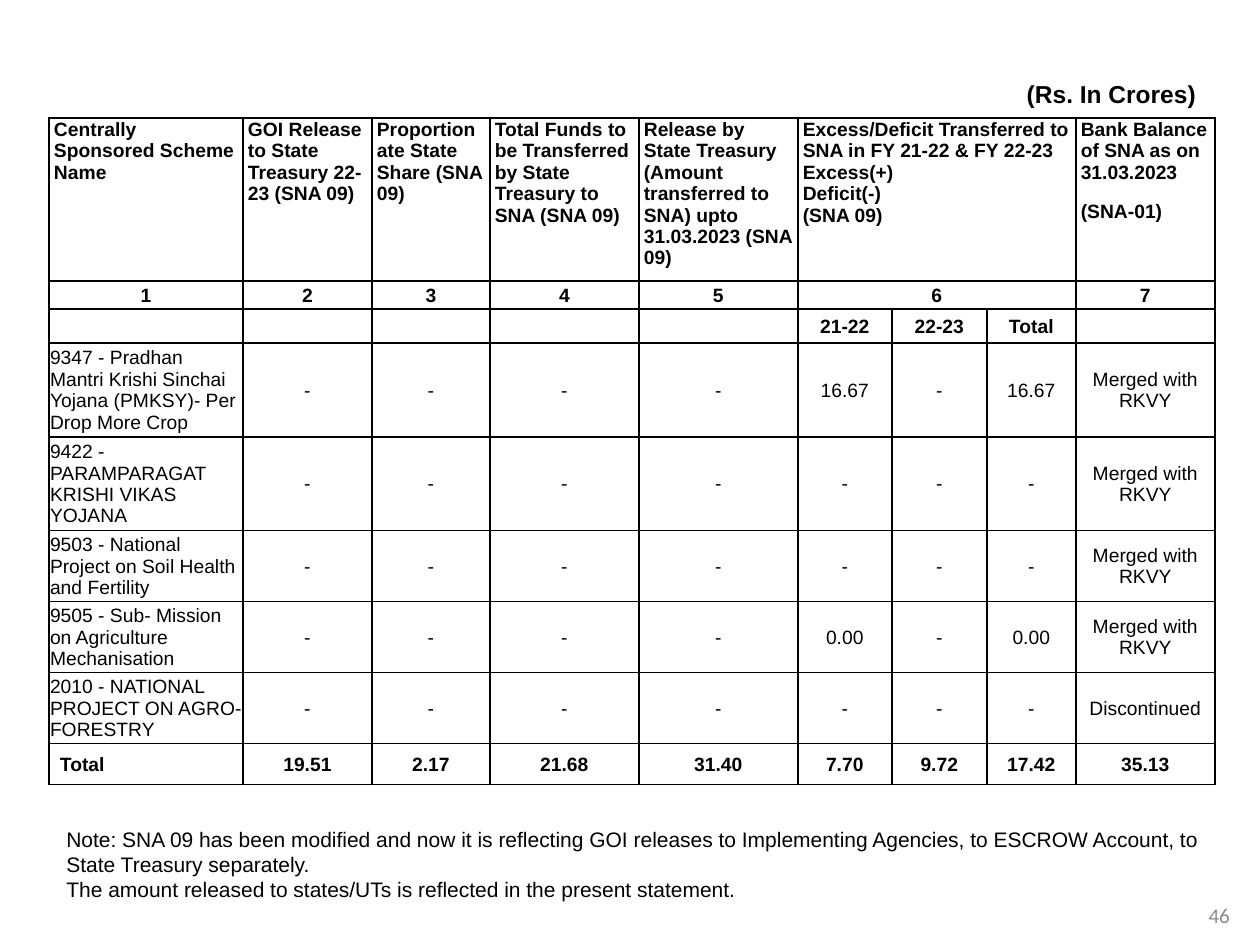
from lxml.etree import SubElement
from pptx import Presentation
from pptx.dml.color import RGBColor
from pptx.enum.text import MSO_ANCHOR, PP_ALIGN
from pptx.oxml.ns import qn
from pptx.util import Pt

PX = 914400 // 126
COLORS = {"ink": "000000", "page_number": "8C8C8C"}

COLUMN_WIDTHS = [194, 129, 118, 149, 159, 94, 95, 89, 139]
ROW_HEIGHTS = [163, 28, 34, 94, 93, 71, 71, 71, 41]
EXCESS_COLUMN, BALANCE_COLUMN = 5, 8

HEADINGS = {
    0: ["Centrally Sponsored Scheme Name"],
    1: ["GOI Release to State Treasury 22-23 (SNA 09)"],
    2: ["Proportionate State Share (SNA 09)"],
    3: ["Total Funds to be Transferred by State Treasury to SNA (SNA 09)"],
    4: ["Release by State Treasury (Amount transferred to SNA) upto "
        "31.03.2023 (SNA 09)"],
    EXCESS_COLUMN: ["Excess/Deficit Transferred to SNA in FY 21-22 & FY 22-23",
                    "Excess(+)", "Deficit(-)", "(SNA 09)"],
    BALANCE_COLUMN: ["Bank Balance of SNA as on 31.03.2023", "(SNA-01)"],
}
YEARS = [""] * 5 + ["21-22", "22-23", "Total", ""]
MERGED = "Merged with RKVY"
# Scheme, excess in 21-22 (also its total), bank balance
SCHEMES = [
    ("9347 - Pradhan Mantri Krishi Sinchai Yojana (PMKSY)- Per Drop More Crop",
     "16.67", MERGED),
    ("9422 - PARAMPARAGAT KRISHI VIKAS YOJANA", "-", MERGED),
    ("9503 - National Project on Soil Health and Fertility", "-", MERGED),
    ("9505 - Sub- Mission on Agriculture Mechanisation", "0.00", MERGED),
    ("2010 - NATIONAL PROJECT ON AGRO- FORESTRY", "-", "Discontinued"),
]
TOTALS = ["Total", "19.51", "2.17", "21.68", "31.40",
          "7.70", "9.72", "17.42", "35.13"]


def write(frame, lines, size, bold=False, align=PP_ALIGN.LEFT, font="Arial",
          color="ink", space_after=0, line_spacing=None):
    for index, line in enumerate(lines):
        paragraph = frame.paragraphs[0] if index == 0 else frame.add_paragraph()
        paragraph.alignment = align
        paragraph.space_after = Pt(space_after)
        if line_spacing:
            paragraph.line_spacing = line_spacing
        run = paragraph.add_run()
        run.text = line
        run.font.name = font
        run.font.size = Pt(size)
        run.font.bold = bold
        run.font.color.rgb = RGBColor.from_string(COLORS[color])


def add_text(slide, box, lines, size, anchor=MSO_ANCHOR.TOP, right_inset=12,
             **style):
    frame = slide.shapes.add_textbox(*(value * PX for value in box)).text_frame
    frame.word_wrap = True
    frame.vertical_anchor = anchor
    frame.margin_right = right_inset * PX
    write(frame, lines, size, **style)


def format_cell(cell, inset, left_inset=None, anchor=MSO_ANCHOR.MIDDLE):
    cell.margin_left = (inset if left_inset is None else left_inset) * PX
    cell.margin_right = inset * PX
    cell.margin_top, cell.margin_bottom = PX, 0
    cell.vertical_anchor = anchor
    # Borders come before the fill in the cell properties
    properties = cell._tc.get_or_add_tcPr()
    for side in ("lnL", "lnR", "lnT", "lnB"):
        line = SubElement(properties, qn(f"a:{side}"), w=str(Pt(1)))
        fill = SubElement(line, qn("a:solidFill"))
        SubElement(fill, qn("a:srgbClr"), val=COLORS["ink"])
    cell.fill.background()


def fill_headings(table):
    for number, (column, lines) in enumerate(HEADINGS.items(), start=1):
        write(table.cell(0, column).text_frame, lines, 11, bold=True,
              space_after=0 if column == EXCESS_COLUMN else 10)
        write(table.cell(1, column).text_frame, [str(number)], 11, bold=True,
              align=PP_ALIGN.CENTER, space_after=10, line_spacing=1.15)


def fill_row(table, row, values, bold):
    for column, value in enumerate(values):
        frame = table.cell(row, column).text_frame
        if value:
            write(frame, [value], 11, bold=bold,
                  align=PP_ALIGN.CENTER if column else PP_ALIGN.LEFT)
        else:
            # Keep an empty cell from stretching its row
            SubElement(frame.paragraphs[0]._p, qn("a:endParaRPr"), sz="1100")


def add_funds_table(slide, left, top):
    box = (left, top, sum(COLUMN_WIDTHS), sum(ROW_HEIGHTS))
    table = slide.shapes.add_table(len(ROW_HEIGHTS), len(COLUMN_WIDTHS),
                                   *(value * PX for value in box)).table
    table.first_row = table.horz_banding = False
    for column, width in zip(table.columns, COLUMN_WIDTHS):
        column.width = width * PX
    last_row = len(ROW_HEIGHTS) - 1
    for index, (row, height) in enumerate(zip(table.rows, ROW_HEIGHTS)):
        row.height = height * PX
        for column, cell in enumerate(row.cells):
            if index < 2:
                format_cell(cell, 5, anchor=MSO_ANCHOR.TOP)
            else:
                is_total_label = index == last_row and column == 0
                format_cell(cell, 1, left_inset=11 if is_total_label else 1)

    # The excess heading and its number span the three year columns
    for row in (0, 1):
        table.cell(row, EXCESS_COLUMN).merge(table.cell(row, BALANCE_COLUMN - 1))

    fill_headings(table)
    fill_row(table, 2, YEARS, bold=True)
    for row, (scheme, excess, balance) in enumerate(SCHEMES, start=3):
        values = [scheme] + ["-"] * 4 + [excess, "-", excess, balance]
        fill_row(table, row, values, bold=False)
    fill_row(table, last_row, TOTALS, bold=True)


def build_funds_slide(presentation):
    slide = presentation.slides.add_slide(presentation.slide_layouts[6])
    # Unit label above the table
    add_text(slide, (54, 43, 1161, 72), ["(Rs. In Crores)"], 14, bold=True,
             align=PP_ALIGN.RIGHT, anchor=MSO_ANCHOR.BOTTOM, right_inset=19)
    add_funds_table(slide, 49, 118)
    # Page number
    add_text(slide, (1194, 890, 50, 50), ["46"], 12, anchor=MSO_ANCHOR.MIDDLE,
             align=PP_ALIGN.CENTER, font="Calibri", color="page_number")
    # Note below the table
    add_text(slide, (54, 820, 1162, 89), [
        "Note: SNA 09 has been modified and now it is reflecting GOI releases "
        "to Implementing Agencies, to ESCROW Account, to State Treasury "
        "separately.",
        "The amount released to states/UTs is reflected in the present "
        "statement.",
    ], 12)


def main():
    presentation = Presentation()
    presentation.slide_width = 1260 * PX
    presentation.slide_height = 945 * PX
    build_funds_slide(presentation)
    presentation.save("out.pptx")


if __name__ == "__main__":
    main()
